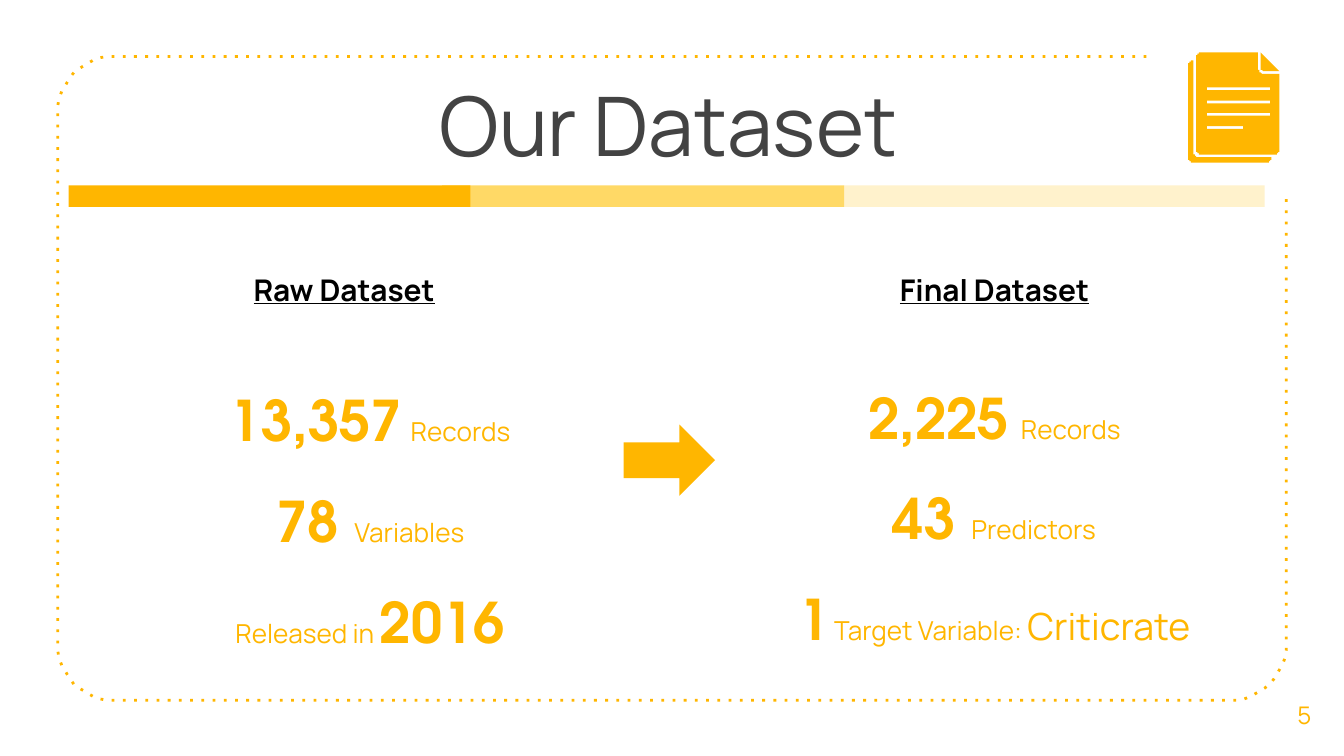
from math import cos, radians, sin

from pptx import Presentation
from pptx.dml.color import RGBColor
from pptx.enum.dml import MSO_LINE
from pptx.enum.shapes import MSO_SHAPE as Shape
from pptx.enum.text import MSO_ANCHOR as Anchor, MSO_AUTO_SIZE as AutoSize, PP_ALIGN as Align
from pptx.oxml.ns import qn
from pptx.util import Pt

PX = 9144  # 100 px to the inch
AMBER, GOLD, CREAM = "FFB600", "FFD966", "FFF2CC"
GREY, BLACK = "434343", "000000"
BODY_FONT, NUMBER_FONT = "Manrope", "TeX Gyre Adventor"


def color(hex_text):
    return RGBColor.from_string(hex_text)


def arc(cx, cy, radius, start, end, steps=12):
    """Points from angle start to end, in degrees clockwise from the right."""
    angles = [radians(start + (end - start) * i / steps) for i in range(steps + 1)]
    return [(round(cx + radius * cos(a), 2), round(cy + radius * sin(a), 2)) for a in angles]


def add_span(para, text, size=14, font=BODY_FONT, fill=AMBER, bold=False, underline=False):
    span = para.add_run()
    span.text = text
    span.font.size = Pt(size)
    span.font.name = font
    span.font.color.rgb = color(fill)
    span.font.bold = bold
    span.font.underline = underline
    span._r.get_or_add_rPr().set("kern", "0")


def number(text):
    return text, dict(size=30, font=NUMBER_FONT, bold=True)


def label(text, size=14):
    return text, dict(size=size)


class SlideBuilder:
    def __init__(self, deck):
        self.page = deck.slides.add_slide(deck.slide_layouts[5])
        self.shapes = self.page.shapes

    def fill_text(self, box, lines, anchor=Anchor.TOP, spacing=1.0):
        """Each line is a list of (text, format) pairs."""
        frame = box.text_frame
        frame.word_wrap = True
        frame.auto_size = AutoSize.NONE
        frame.vertical_anchor = anchor
        frame.margin_left = frame.margin_right = 10 * PX
        frame.margin_top = frame.margin_bottom = 10 * PX
        for index, line in enumerate(lines):
            para = frame.add_paragraph() if index else frame.paragraphs[0]
            para.alignment = Align.CENTER
            para.line_spacing = spacing
            for text, style in line:
                add_span(para, text, **style)

    def title(self, text, left, top, width, height):
        box = self.shapes.title
        box.left, box.top, box.width, box.height = (n * PX for n in (left, top, width, height))
        self.fill_text(box, [[(text, dict(size=44, fill=GREY))]])

    def text(self, lines, left, top, width, height, **layout):
        box = self.shapes.add_textbox(left * PX, top * PX, width * PX, height * PX)
        self.fill_text(box, lines, **layout)

    def solid(self, kind, fill, left, top, width, height):
        shape = self.shapes.add_shape(kind, left * PX, top * PX, width * PX, height * PX)
        self.paint(shape, fill)

    def paint(self, shape, fill):
        shape.shadow.inherit = False
        shape.fill.solid()
        shape.fill.fore_color.rgb = color(fill)
        shape.line.fill.background()

    def outline(self, shapes, contours, close=True):
        (first, *rest), *holes = contours
        builder = shapes.build_freeform(*first, scale=PX)
        builder.add_line_segments(rest, close=close)
        for start, *points in holes:
            builder.move_to(*start)
            builder.add_line_segments(points, close=True)
        return builder.convert_to_shape()

    def dotted_frame(self):
        points = [(853, 42), *arc(85, 84, 42, 270, 180), *arc(85, 479, 42, 180, 90),
                  *arc(915, 479, 42, 90, 0), (957, 146)]
        frame = self.outline(self.shapes, [points], close=False)
        frame.shadow.inherit = False
        frame.fill.background()
        frame.line.color.rgb = color(AMBER)
        frame.line.width = Pt(1.5)
        frame.line.dash_style = MSO_LINE.ROUND_DOT
        # The enumeration has no member for the widely spaced "dot" pattern.
        next(frame._element.iter(qn("a:prstDash"))).set("val", "dot")

    def document_icon(self):
        group = self.shapes.add_group_shape()
        back_sheet = [(888, 45), *arc(888, 49, 4, 270, 180), *arc(888, 117, 4, 180, 90),
                      *arc(942, 117, 4, 90, 0), *arc(892, 113, 4, 90, 180)]
        front_sheet = [(936, 39), *arc(894, 43, 4, 270, 180), *arc(894, 111, 4, 180, 90),
                       *arc(948, 111, 4, 90, 0), (952, 55), *arc(941, 50, 5, 90, 180)]
        fold = [(938, 39), *arc(941, 50, 3, 180, 90), (952, 53)]
        text_lines = [[(898, y), (right, y), (right, y + 2), (898, y + 2)]
                      for y, right in ((65, 945), (75, 945), (84, 945), (94, 925))]
        for contours in ([back_sheet], [front_sheet, *text_lines], [fold]):
            self.paint(self.outline(group.shapes, contours), AMBER)


def main():
    deck = Presentation()
    deck.slide_width = 1000 * PX
    deck.slide_height = deck.slide_width * 9 // 16
    slide = SlideBuilder(deck)

    slide.dotted_frame()
    slide.title("Our Dataset", 122, 45, 751, 94)
    slide.text([[("5", dict(size=13))]], 941, 502, 59, 60, anchor=Anchor.MIDDLE)
    slide.document_icon()

    for fill, left, width in ((CREAM, 628, 313), (GOLD, 329, 299), (AMBER, 51, 299)):
        slide.solid(Shape.RECTANGLE, fill, left, 138, width, 16)

    heading = dict(size=16, fill=BLACK, bold=True, underline=True)
    for text, left, width in (("Raw Dataset", 177, 158), ("Final Dataset", 653, 174)):
        slide.text([[(text, heading)]], left, 192, width, 45)

    raw_facts = [
        [number("13,357"), label("  ", 11), label("Records")],
        [number("78 "), label("Variables")],
        [label("Released in "), number("2016")],
    ]
    final_facts = [
        [number("2,225"), ("  ", dict(size=11, font=NUMBER_FONT, bold=True)), label("Records")],
        [number("43 "), label("Predictors")],
        [number("1"), label(" ", 11), label("Target Variable: "), label("Criticrate", 20)],
    ]
    slide.text(raw_facts, 116, 252, 319, 245, anchor=Anchor.MIDDLE, spacing=1.5)
    slide.text(final_facts, 553, 250, 374, 245, anchor=Anchor.MIDDLE, spacing=1.5)
    slide.solid(Shape.RIGHT_ARROW, AMBER, 464, 316, 68, 53)

    deck.save("out.pptx")


if __name__ == "__main__":
    main()
